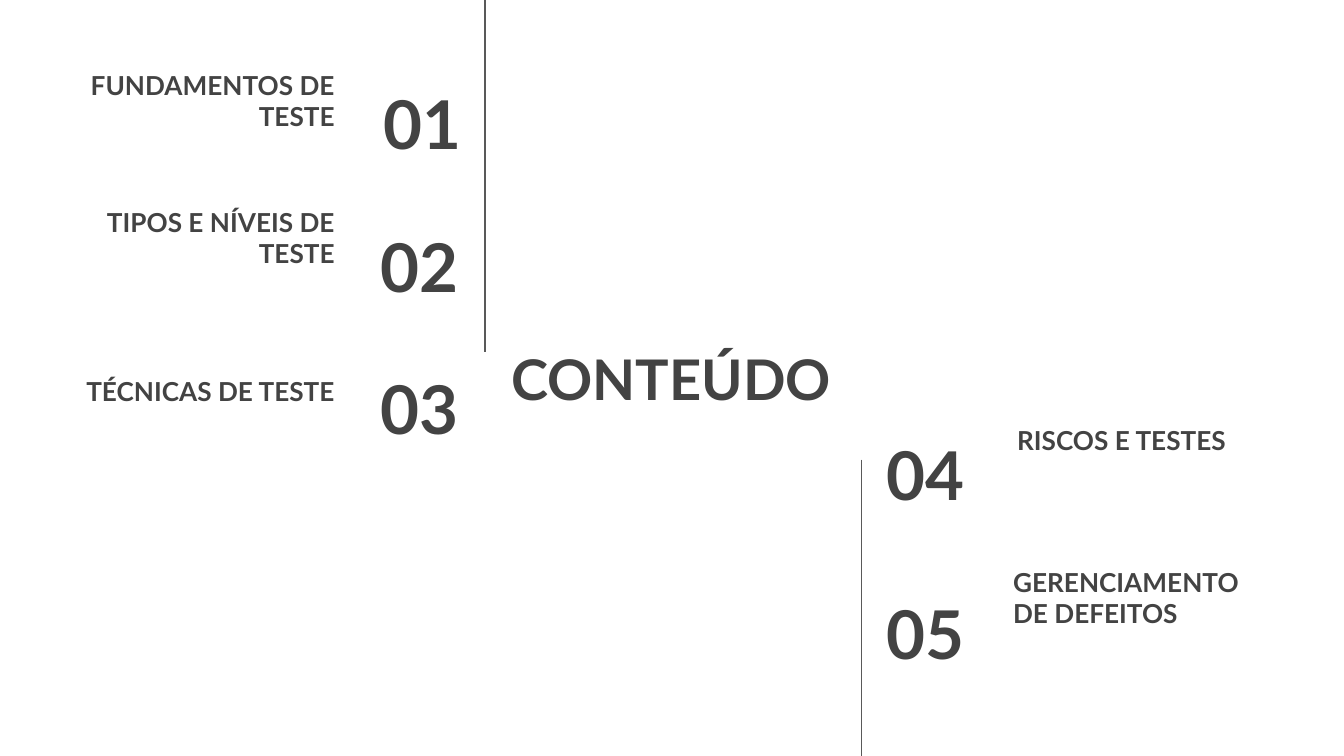
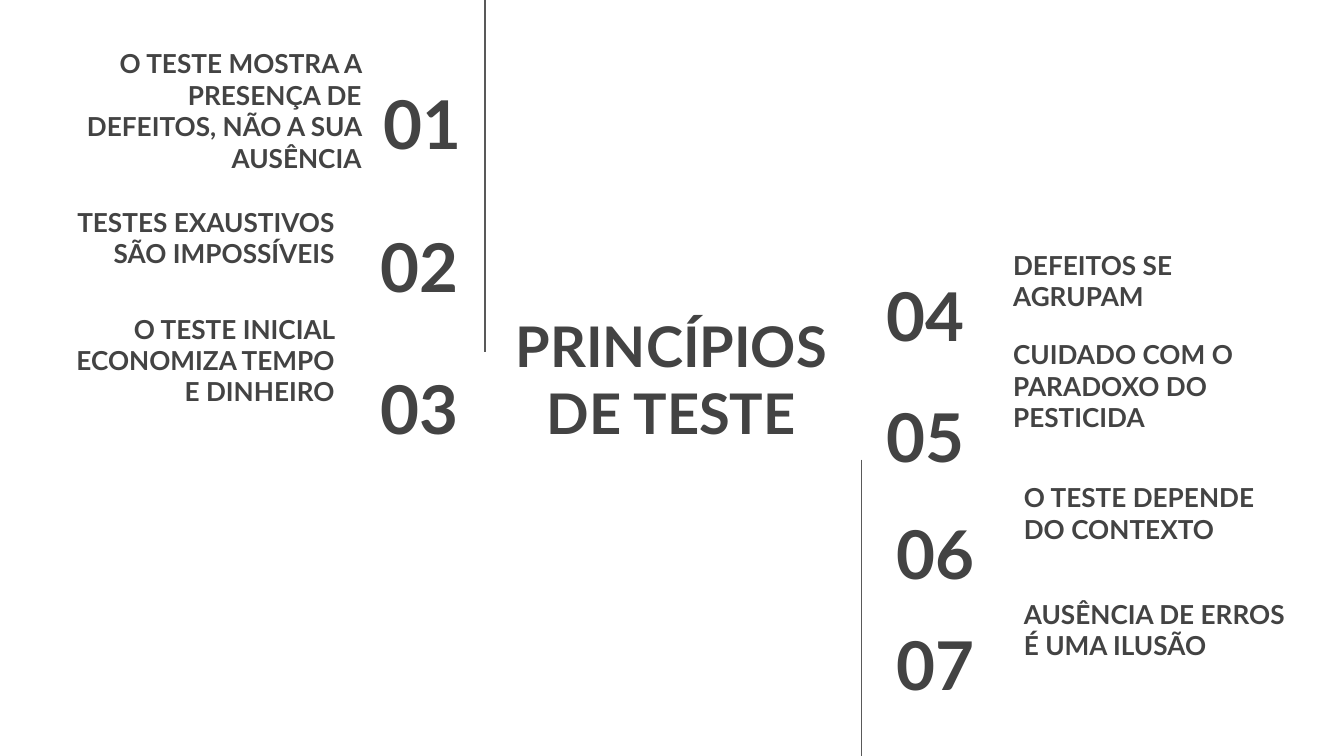
from dataclasses import dataclass

from lxml import etree
from pptx import Presentation
from pptx import util as u
from pptx.dml.color import RGBColor
from pptx.enum import shapes, text
from pptx.oxml import ns

INK = RGBColor(0x43, 0x43, 0x43)
RULE = RGBColor(0x59, 0x59, 0x59)
WHITE = RGBColor(0xFF, 0xFF, 0xFF)
FONT = "Lato"
WIDTH = 10
HEIGHT = WIDTH * 9 / 16
ROW_HEIGHT = 0.63
LEFT_LABEL_X = 0.43
LEFT_LABEL_TOPS = (0.45, 1.47, 2.5)
LEFT_NUMBER_XS = (2.32, 2.3, 2.3)
LEFT_NUMBER_TOP, LEFT_NUMBER_STEP = 0.6, 1.06
LEFT_NUMBER_WIDTH, RIGHT_NUMBER_WIDTH = 1.21, 1.17
LABEL_WIDTH = 2.16


@dataclass
class RightItem:
    label: str
    label_x: float
    label_top: float
    number_x: float
    number_top: float
    label_width: float = LABEL_WIDTH


def format_text(box, words, size, align, anchor):
    frame = box.text_frame
    frame.text = words
    frame.word_wrap = True
    frame.auto_size = text.MSO_AUTO_SIZE.NONE
    frame.vertical_anchor = anchor
    frame.margin_left = frame.margin_right = u.Inches(0.1)
    frame.margin_top = frame.margin_bottom = u.Inches(0.1)
    para = frame.paragraphs[0]
    para.alignment = align
    para.font.name = FONT
    para.font.size = u.Pt(size)
    para.font.bold = True
    para.font.color.rgb = INK


def add_title(page, words):
    title = page.shapes.title
    title.left, title.top = u.Inches(3.7), u.Inches(2.3)
    title.width, title.height = u.Inches(2.59), u.Inches(1.03)
    format_text(title, words, 30, text.PP_ALIGN.CENTER, text.MSO_ANCHOR.MIDDLE)


def add_text(page, words, left, top, width, height, size, align, anchor):
    box = page.shapes.add_textbox(
        u.Inches(left), u.Inches(top), u.Inches(width), u.Inches(height))
    format_text(box, words, size, align, anchor)


def add_label(page, words, left, top, align, width=LABEL_WIDTH, height=ROW_HEIGHT):
    add_text(page, words, left, top, width, height, 14, align, text.MSO_ANCHOR.BOTTOM)


def add_number(page, number, left, top, width, align):
    add_text(page, f"{number:02d}", left, top, width, ROW_HEIGHT, 36, align,
             text.MSO_ANCHOR.MIDDLE)


def add_rule(page, x, top, bottom):
    rule = page.shapes.add_connector(
        shapes.MSO_CONNECTOR.STRAIGHT,
        u.Inches(x), u.Inches(top), u.Inches(x), u.Inches(bottom))
    rule.line.color.rgb = RULE
    rule.line.width = u.Pt(0.75)
    etree.SubElement(rule._element.spPr, ns.qn("a:effectLst"))


def add_left_items(page, labels, first_size):
    align = text.PP_ALIGN.RIGHT
    for index, label in enumerate(labels):
        width, height = (LABEL_WIDTH, ROW_HEIGHT) if index else first_size
        add_label(page, label, LEFT_LABEL_X, LEFT_LABEL_TOPS[index], align, width, height)
        add_number(page, index + 1, LEFT_NUMBER_XS[index],
                   LEFT_NUMBER_TOP + index * LEFT_NUMBER_STEP, LEFT_NUMBER_WIDTH, align)


def add_right_items(page, items, first_number):
    align = text.PP_ALIGN.LEFT
    for number, item in enumerate(items, first_number):
        add_number(page, number, item.number_x, item.number_top, RIGHT_NUMBER_WIDTH, align)
        add_label(page, item.label, item.label_x, item.label_top, align, item.label_width)


def add_page(deck, title, left_labels, right_items, first_size=(LABEL_WIDTH, ROW_HEIGHT)):
    page = deck.slides.add_slide(deck.slide_layouts[5])
    page.background.fill.solid()
    page.background.fill.fore_color.rgb = WHITE
    add_title(page, title)
    add_rule(page, 3.61, 0, 2.62)
    add_rule(page, 6.41, 3.42, HEIGHT)
    add_left_items(page, left_labels, first_size)
    add_right_items(page, right_items, len(left_labels) + 1)


def main():
    deck = Presentation()
    deck.slide_width, deck.slide_height = u.Inches(WIDTH), u.Inches(HEIGHT)
    add_page(
        deck, "CONTEÚDO",
        ("FUNDAMENTOS DE TESTE", "TIPOS E NÍVEIS DE TESTE", "TÉCNICAS DE TESTE"),
        (RightItem("RISCOS E TESTES", 7.47, 2.86, 6.5, 3.21),
         RightItem("GERENCIAMENTO DE DEFEITOS", 7.44, 4.15, 6.5, 4.39)))
    add_page(
        deck, "PRINCÍPIOS DE TESTE",
        ("O TESTE MOSTRA A PRESENÇA DE DEFEITOS, NÃO A SUA AUSÊNCIA",
         "TESTES EXAUSTIVOS SÃO IMPOSSÍVEIS",
         "O TESTE INICIAL ECONOMIZA TEMPO E DINHEIRO"),
        (RightItem("DEFEITOS SE AGRUPAM", 7.44, 1.79, 6.5, 2.03),
         RightItem("CUIDADO COM O PARADOXO DO PESTICIDA", 7.44, 2.69, 6.5, 2.93, 2.56),
         RightItem("O TESTE DEPENDE DO CONTEXTO", 7.52, 3.52, 6.57, 3.8),
         RightItem("AUSÊNCIA DE ERROS É UMA ILUSÃO", 7.52, 4.39, 6.57, 4.62)),
        first_size=(2.36, 0.94))
    deck.save("out.pptx")


if __name__ == "__main__":
    main()
